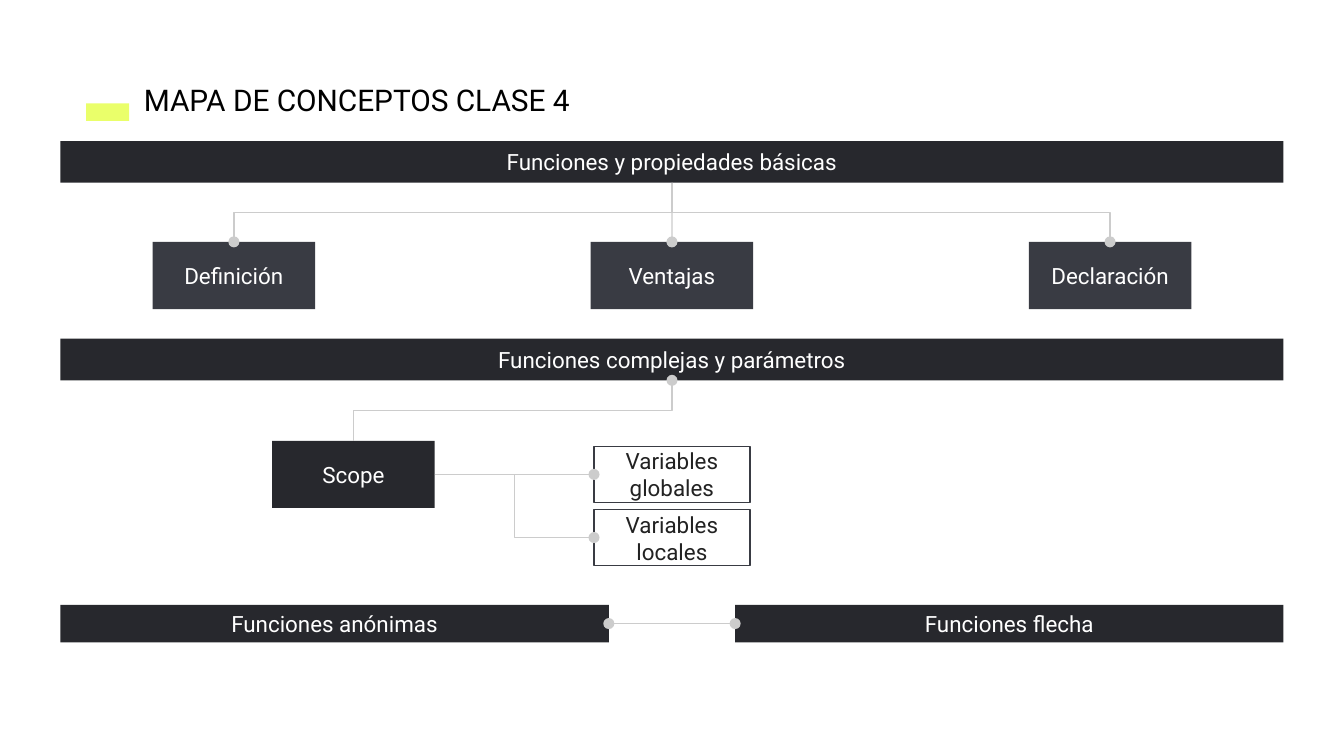
from lxml import etree
from pptx import Presentation
from pptx.dml.color import RGBColor
from pptx.enum.shapes import MSO_CONNECTOR, MSO_SHAPE
from pptx.enum.text import MSO_ANCHOR, MSO_AUTO_SIZE, PP_ALIGN
from pptx.oxml.ns import qn
from pptx.util import Inches, Pt

RECTANGLE = MSO_SHAPE.RECTANGLE
STRAIGHT, ELBOW = MSO_CONNECTOR.STRAIGHT, MSO_CONNECTOR.ELBOW
ALIGN_LEFT, ALIGN_CENTER = PP_ALIGN.LEFT, PP_ALIGN.CENTER
ANCHOR_TOP, ANCHOR_MIDDLE = MSO_ANCHOR.TOP, MSO_ANCHOR.MIDDLE
NO_AUTOFIT = MSO_AUTO_SIZE.NONE
TOP, LEFT, BOTTOM, RIGHT = range(4)
COLORS = {
    "accent": "EAFF6A",
    "bar": "27282D",
    "topic": "393B43",
    "link": "CCCCCC",
    "light": "FFFFFF",
    "dark": "222222",
    "title": "000000",
}
SLIDE_WIDTH = 10
MARGIN = 0.45
BAR_WIDTH, BAR_HEIGHT = 9.1, 0.31
HALF_WIDTH, HALF_HEIGHT = 4.08, 0.28
TOPIC_WIDTH, TOPIC_HEIGHT = 1.21, 0.5
VARIABLE_WIDTH, VARIABLE_HEIGHT = 1.16, 0.42
CENTER = SLIDE_WIDTH / 2


def color(name):
    """Return the named palette colour."""
    return RGBColor.from_string(COLORS[name])


def write_text(shape, text, size, color_name, align, anchor):
    """Write one formatted paragraph into a shape."""
    frame = shape.text_frame
    inset = Inches(0.1)
    frame_format = {
        "margin_left": inset, "margin_right": inset,
        "margin_top": inset, "margin_bottom": inset,
        "word_wrap": True, "auto_size": NO_AUTOFIT,
        "vertical_anchor": anchor,
    }
    for name, value in frame_format.items():
        setattr(frame, name, value)
    para = frame.paragraphs[0]
    para.alignment = align
    span = para.add_run()
    span.text = text
    for name, value in {"name": "Roboto", "size": Pt(size), "bold": False}.items():
        setattr(span.font, name, value)
    span.font.color.rgb = color(color_name)


def add_title(page, text):
    """Place the heading in the title placeholder."""
    title = page.shapes.title
    area = {"left": 0.97, "top": 0.51, "width": 3.56, "height": 0.47}
    for name, value in area.items():
        setattr(title, name, Inches(value))
    write_text(title, text, 16, "title", ALIGN_LEFT, ANCHOR_TOP)


def add_box(page, left, top, width, height, text="", fill=None):
    """Add a filled box, or an outlined one when no fill is given."""
    box = page.shapes.add_shape(
        RECTANGLE, Inches(left), Inches(top), Inches(width), Inches(height))
    box.shadow.inherit = False
    if fill:
        box.fill.solid()
        box.fill.fore_color.rgb = color(fill)
        box.line.fill.background()
    else:
        box.fill.background()
        box.line.color.rgb = color("topic")
        box.line.width = Pt(0.75)
    if text:
        write_text(box, text, 12, "light" if fill else "dark",
                   ALIGN_CENTER, ANCHOR_MIDDLE)
    return box


def add_topic(page, center, top, text, fill):
    """Add a topic box centred on a horizontal position."""
    return add_box(page, center - TOPIC_WIDTH / 2, top,
                   TOPIC_WIDTH, TOPIC_HEIGHT, text, fill)


def add_link(page, kind, start, start_side, end, end_side, dots=("tailEnd",)):
    """Join the sides of two boxes with a line that has round ends."""
    link = page.shapes.add_connector(kind, 0, 0, 0, 0)
    link.begin_connect(start, start_side)
    link.end_connect(end, end_side)
    link.line.color.rgb = color("link")
    link.line.width = Pt(0.75)
    properties = link.element.spPr
    outline = properties.find(qn("a:ln"))
    for dot in dots:
        etree.SubElement(outline, qn(f"a:{dot}"), type="oval")
    etree.SubElement(properties, qn("a:effectLst"))
    return link


def add_branch(page, parent, child, dot="tailEnd"):
    """Join a parent's bottom to a child's top with a turned elbow."""
    link = add_link(page, ELBOW, parent, BOTTOM, child, TOP, (dot,))
    to_right = link.end_x > link.begin_x
    center_x = link.left + link.width // 2
    center_y = link.top + link.height // 2
    link.width, link.height = link.height, link.width
    link.left = center_x - link.width // 2
    link.top = center_y - link.height // 2
    frame = link.element.spPr.find(qn("a:xfrm"))
    frame.attrib.clear()
    frame.set("rot", "16200000" if to_right else "5400000")
    if to_right:
        frame.set("flipH", "1")


def main():
    """Build the concept map slide."""
    deck = Presentation()
    deck.slide_width = Inches(SLIDE_WIDTH)
    deck.slide_height = Inches(SLIDE_WIDTH * 9 / 16)
    page = deck.slides.add_slide(deck.slide_layouts[5])

    add_box(page, 0.64, 0.77, 0.32, 0.13, fill="accent")
    add_title(page, "MAPA DE CONCEPTOS CLASE 4")

    basics, complex_functions = [
        add_box(page, MARGIN, top, BAR_WIDTH, BAR_HEIGHT, text, "bar")
        for top, text in ((1.05, "Funciones y propiedades básicas"),
                          (2.52, "Funciones complejas y parámetros"))]
    definition, advantages, declaration = [
        add_topic(page, CENTER + step * 3.26, 1.8, text, "topic")
        for step, text in ((-1, "Definición"), (0, "Ventajas"), (1, "Declaración"))]
    scope = add_topic(page, 2.63, 3.28, "Scope", "bar")
    global_variables, local_variables = [
        add_box(page, CENTER - VARIABLE_WIDTH / 2, top,
                VARIABLE_WIDTH, VARIABLE_HEIGHT, text)
        for top, text in ((3.32, "Variables globales"), (3.79, "Variables locales"))]
    anonymous, arrow = [
        add_box(page, left, 4.5, HALF_WIDTH, HALF_HEIGHT, text, "bar")
        for left, text in ((MARGIN, "Funciones anónimas"),
                           (MARGIN + BAR_WIDTH - HALF_WIDTH, "Funciones flecha"))]

    for topic in (definition, declaration):
        add_branch(page, basics, topic)
    add_link(page, STRAIGHT, basics, BOTTOM, advantages, TOP)
    add_branch(page, complex_functions, scope, "headEnd")
    add_link(page, STRAIGHT, scope, RIGHT, global_variables, LEFT)
    add_link(page, ELBOW, scope, RIGHT, local_variables, LEFT)
    add_link(page, STRAIGHT, anonymous, RIGHT, arrow, LEFT, ("headEnd", "tailEnd"))

    deck.save("out.pptx")


if __name__ == "__main__":
    main()
